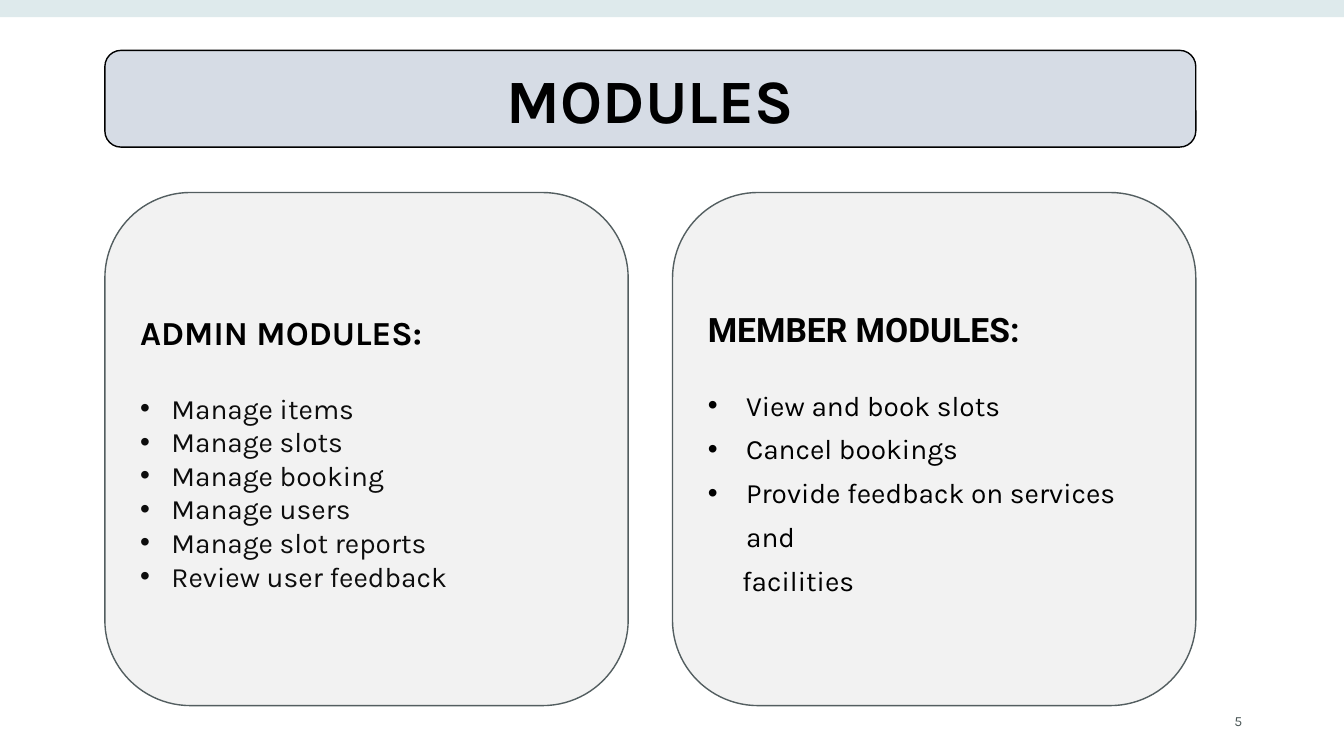
from dataclasses import dataclass

from lxml.etree import SubElement
from pptx import Presentation
from pptx.dml.color import RGBColor
from pptx.enum.shapes import MSO_SHAPE
from pptx.enum.text import MSO_ANCHOR, MSO_AUTO_SIZE, PP_ALIGN
from pptx.oxml.ns import qn
from pptx.util import Inches, Pt


@dataclass(frozen=True)
class Theme:
    font: str = "Karla"
    accent_font: str = "Roboto"
    band: str = "BED6DA"
    banner: str = "D6DCE5"
    card: str = "F2F2F2"
    card_line: str = "535E60"
    ink: str = "000000"
    soft_ink: str = "0D0D0D"
    number_ink: str = "4A5656"
    title_size: int = 44
    heading_size: int = 24
    item_size: int = 20
    number_size: int = 10


THEME = Theme()


def add_panel(kind, left, top, width, height, fill, line=None):
    """Place a filled shape behind the slide's text."""
    panel = slide.shapes.add_shape(
        kind, Inches(left), Inches(top), Inches(width), Inches(height))
    panel.shadow.inherit = False
    panel.fill.solid()
    panel.fill.fore_color.rgb = RGBColor.from_string(fill)
    if line:
        panel.line.color.rgb = RGBColor.from_string(line)
        panel.line.width = Pt(1)
    else:
        panel.line.fill.background()
    title.element.addprevious(panel.element)
    return panel


def add_text(paragraph, text, size, color, font=THEME.font, bold=False):
    run = paragraph.add_run()
    run.text = text
    run.font.name = font
    run.font.size = Pt(size)
    run.font.bold = bold
    run.font.color.rgb = RGBColor.from_string(color)
    return run


prs = Presentation()
prs.slide_width, prs.slide_height = Inches(13.33), Inches(7.5)
slide = prs.slides.add_slide(prs.slide_layouts[3])
title, *lists = slide.placeholders

# Top band, half transparent
band = add_panel(MSO_SHAPE.RECTANGLE, 0, 0, 13.33, 0.17, THEME.band)
band_color = band.fill._xPr.find(qn("a:solidFill"))[0]
SubElement(band_color, qn("a:alpha"), val="50000")

# Title banner
LEFT, BANNER_WIDTH = 1.04, 10.82
add_panel(MSO_SHAPE.ROUNDED_RECTANGLE, LEFT, 0.5, BANNER_WIDTH, 0.96,
          THEME.banner, THEME.ink)
title.left, title.top = Inches(LEFT), Inches(0.5)
title.width, title.height = Inches(BANNER_WIDTH), Inches(0.96)
title.text_frame.auto_size = MSO_AUTO_SIZE.NONE
title.text_frame.vertical_anchor = MSO_ANCHOR.MIDDLE
heading = title.text_frame.paragraphs[0]
heading.alignment = PP_ALIGN.CENTER
add_text(heading, "MODULES", THEME.title_size, THEME.ink, bold=True)

# Module cards: items are (text, has a bullet)
CARD_TOP, CARD_WIDTH, CARD_HEIGHT, CARD_INSET = 1.91, 5.19, 5.09, 0.35
modules = [
    dict(heading="ADMIN MODULES:", font=THEME.font, color=THEME.soft_ink,
         top=3.09, gap=28, spacing=1.0, indent=0.31,
         items=[("Manage items", True), ("Manage slots", True),
                ("Manage booking", True), ("Manage users", True),
                ("Manage slot reports", True), ("Review user feedback", True)]),
    dict(heading="MEMBER MODULES:", font=THEME.accent_font, color=THEME.ink,
         top=3.06, gap=21, spacing=1.3, indent=0.38,
         items=[("View and book slots", True), ("Cancel bookings", True),
                ("Provide feedback on services and", True),
                ("facilities", False)]),
]
CONTINUATION_INDENT = 0.34

for column, (module, body) in enumerate(zip(modules, lists)):
    card_left = LEFT + column * (BANNER_WIDTH - CARD_WIDTH)
    add_panel(MSO_SHAPE.ROUNDED_RECTANGLE, card_left, CARD_TOP, CARD_WIDTH,
              CARD_HEIGHT, THEME.card, THEME.card_line)

    body.left, body.top = Inches(card_left + CARD_INSET), Inches(module["top"])
    body.width = Inches(CARD_WIDTH - 2 * CARD_INSET)
    body.height = Inches(CARD_TOP + CARD_HEIGHT - CARD_INSET - module["top"])
    frame = body.text_frame
    frame.auto_size = MSO_AUTO_SIZE.NONE
    frame.vertical_anchor = MSO_ANCHOR.TOP
    frame.margin_left = frame.margin_right = 0
    frame.margin_top = frame.margin_bottom = 0

    heading = frame.paragraphs[0]
    heading.space_before = Pt(0)
    props = heading._p.get_or_add_pPr()
    props.set("marL", "0")
    props.set("indent", "0")
    SubElement(props, qn("a:buNone"))
    add_text(heading, module["heading"], THEME.heading_size, THEME.ink,
             module["font"], bold=True)

    for row, (text, bulleted) in enumerate(module["items"]):
        item = frame.add_paragraph()
        item.line_spacing = module["spacing"]
        item.space_before = Pt(0 if row else module["gap"])
        indent = Inches(module["indent"] if bulleted else CONTINUATION_INDENT)
        props = item._p.get_or_add_pPr()
        props.set("marL", str(indent))
        props.set("indent", str(-indent if bulleted else 0))
        if bulleted:
            SubElement(props, qn("a:buFont"), typeface="Arial")
            SubElement(props, qn("a:buChar"), char="•")
        else:
            SubElement(props, qn("a:buNone"))
        add_text(item, text, THEME.item_size, module["color"])

# Slide number
number_box = slide.shapes.add_textbox(
    Inches(9.42), Inches(6.95), Inches(3), Inches(0.4))
number_box.text_frame.word_wrap = True
number_box.text_frame.vertical_anchor = MSO_ANCHOR.MIDDLE
number = number_box.text_frame.paragraphs[0]
number.alignment = PP_ALIGN.RIGHT
digit = add_text(number, "5", THEME.number_size, THEME.number_ink)
digit.font._element.set("spc", "150")

prs.save("out.pptx")
